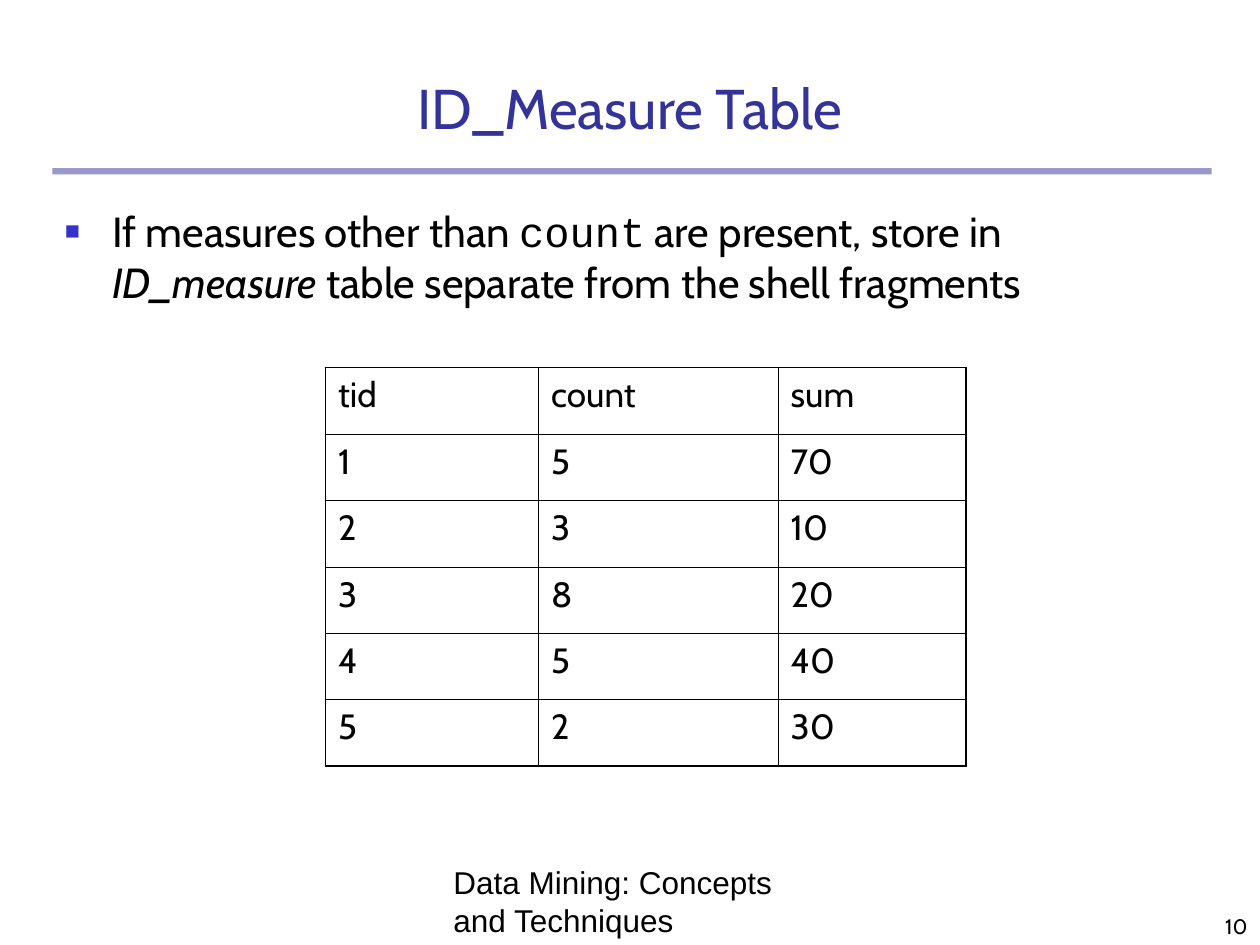
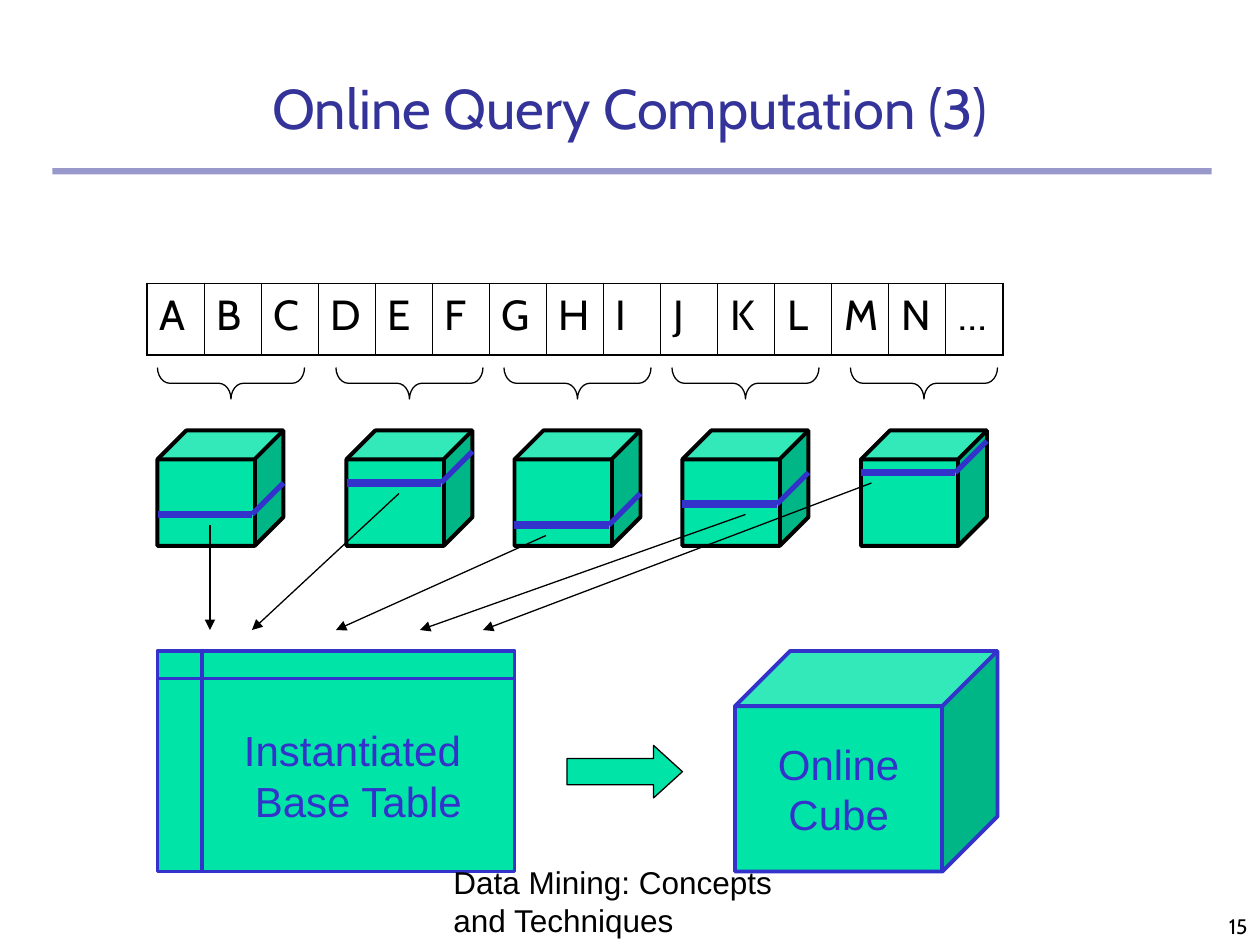
import dataclasses
import typing

import lxml.etree
import pptx
import pptx.dml.color
import pptx.enum.shapes
import pptx.enum.text
import pptx.oxml.ns
import pptx.util

PX = pptx.util.Inches(1) // 120
KIND = pptx.enum.shapes.MSO_SHAPE
ALIGN = pptx.enum.text.PP_ALIGN
ANCHOR = pptx.enum.text.MSO_ANCHOR


@dataclasses.dataclass(frozen=True)
class Theme:
    navy: str = "333399"
    blue: str = "3333CC"
    green: str = "00E4A8"
    black: str = "000000"
    sans: str = "Cabin"
    plain: str = "Arial"
    code: str = "Courier New"
    head: int = 32
    large: int = 24
    cell: int = 20
    foot: int = 18
    page: int = 12
    thin: float = 0.75
    edge: float = 2.25
    inner: float = 0.45
    outer: float = 1.08


class Box(typing.NamedTuple):
    x: int
    y: int
    w: int
    h: int


class Style(typing.NamedTuple):
    size: int
    font: str
    color: str
    align: typing.Any = ALIGN.LEFT
    anchor: typing.Any = ANCHOR.TOP


class Piece(typing.NamedTuple):
    text: str
    form: dict = {}


class Cube(typing.NamedTuple):
    x: int
    brace: int
    band: int
    start: tuple
    end: int


LOOK = Theme()
TITLE = Style(LOOK.head, LOOK.sans, LOOK.navy, ALIGN.CENTER, ANCHOR.BOTTOM)
BODY = Style(LOOK.large, LOOK.sans, LOOK.black)
GRID = Style(LOOK.cell, LOOK.sans, LOOK.black)
LABEL = Style(LOOK.large, LOOK.plain, LOOK.blue, ALIGN.CENTER, ANCHOR.MIDDLE)
FOOT = Style(LOOK.foot, LOOK.plain, LOOK.black, anchor=ANCHOR.BOTTOM)
PAGE = Style(LOOK.page, LOOK.sans, LOOK.black, ALIGN.RIGHT, ANCHOR.BOTTOM)

CUBES = [
    Cube(150, 150, 490, (200, 500), 200),
    Cube(330, 320, 460, (380, 470), 240),
    Cube(490, 480, 500, (520, 510), 320),
    Cube(650, 640, 480, (710, 490), 400),
    Cube(820, 810, 450, (830, 460), 460),
]


def scale(vals: typing.Iterable[float]) -> list[int]:
    return [int(val * PX) for val in vals]


def tint(color: str) -> pptx.dml.color.RGBColor:
    return pptx.dml.color.RGBColor.from_string(color)


def put(item: typing.Any, form: dict) -> None:
    for key, val in form.items():
        setattr(item, key, val)


def add(node: typing.Any, tag: str, **attrs: str) -> typing.Any:
    return lxml.etree.SubElement(node, pptx.oxml.ns.qn(tag), attrs)


def write(frame: typing.Any, lines: list[list[Piece]], style: Style) -> None:
    for row, line in enumerate(lines):
        para = frame.add_paragraph() if row else frame.paragraphs[0]
        para.alignment = style.align
        for piece in line:
            run = para.add_run()
            run.text = piece.text
            put(run.font, {"size": pptx.util.Pt(style.size), "name": style.font, **piece.form})
            run.font.color.rgb = tint(style.color)


def text(slide: typing.Any, box: Box, line: list[Piece], style: Style) -> typing.Any:
    frame = slide.shapes.add_textbox(*scale(box)).text_frame
    put(frame, {"word_wrap": True, "vertical_anchor": style.anchor})
    write(frame, [line], style)
    return frame


def shape(slide: typing.Any, kind: typing.Any, box: Box, fill: str = "",
          line: str = "", width: float = LOOK.thin, adjust: tuple = ()) -> typing.Any:
    item = slide.shapes.add_shape(kind, *scale(box))
    item.shadow.inherit = False
    for part, color in ((item.fill, fill), (item.line.fill, line)):
        if color:
            part.solid()
            part.fore_color.rgb = tint(color)
        else:
            part.background()
    if line:
        item.line.width = pptx.util.Pt(width)
    for spot, val in enumerate(adjust):
        item.adjustments[spot] = val
    return item


def label(item: typing.Any, lines: list[str]) -> None:
    put(item.text_frame, {"word_wrap": False, "vertical_anchor": LABEL.anchor})
    write(item.text_frame, [[Piece(line)] for line in lines], LABEL)


def link(slide: typing.Any, start: tuple, end: tuple, color: str,
         width: float, arrow: bool = False) -> None:
    kind = pptx.enum.shapes.MSO_CONNECTOR.STRAIGHT
    item = slide.shapes.add_connector(kind, *scale((*start, *end)))
    item.line.color.rgb = tint(color)
    item.line.width = pptx.util.Pt(width)
    props = item.element.spPr
    if arrow:
        add(props.find(pptx.oxml.ns.qn("a:ln")), "a:tailEnd", type="triangle")
    add(props, "a:effectLst")


def edge(cell: typing.Any, sides: dict[str, bool]) -> None:
    props = cell._tc.get_or_add_tcPr()
    for side, rim in sides.items():
        width = pptx.util.Pt(LOOK.outer if rim else LOOK.inner)
        line = add(props, f"a:ln{side}", w=str(width))
        add(add(line, "a:solidFill"), "a:srgbClr", val=LOOK.black)


def table(slide: typing.Any, box: Box, rows: list, widths: list[float], style: Style) -> None:
    high, wide = len(rows), len(widths)
    grid = slide.shapes.add_table(high, wide, *scale(box)).table
    put(grid, {"first_row": False, "horz_banding": False})
    for col, width in zip(grid.columns, scale(widths)):
        col.width = width
    for r, row in enumerate(rows):
        grid.rows[r].height = box.h * PX // high
        for c, word in enumerate(row):
            cell = grid.cell(r, c)
            write(cell.text_frame, [[Piece(word)]], style)
            edge(cell, {"L": c == 0, "R": c == wide - 1, "T": r == 0, "B": r == high - 1})
            cell.fill.background()


def start(deck: typing.Any, title: str) -> typing.Any:
    slide = deck.slides.add_slide(deck.slide_layouts[6])
    rule = shape(slide, KIND.RECTANGLE, Box(50, 160, 1104, 6), LOOK.navy)
    shade = next(rule.element.spPr.iter(pptx.oxml.ns.qn("a:srgbClr")))
    add(shade, "a:alpha", val="50000")
    text(slide, Box(50, 50, 1100, 90), [Piece(title)], TITLE)
    return slide


def close(slide: typing.Any, page: int) -> None:
    text(slide, Box(420, 830, 380, 70), [Piece("Data Mining: Concepts and Techniques")], FOOT)
    text(slide, Box(950, 840, 250, 60), [Piece(str(page))], PAGE)


def measure(deck: typing.Any) -> None:
    slide = start(deck, "ID_Measure Table")
    frame = text(slide, Box(50, 190, 1100, 660), [
        Piece("If measures other than "),
        Piece("count", {"name": LOOK.code}),
        Piece(" are present, store in "),
        Piece("ID_measure", {"italic": True}),
        Piece(" table separate from the shell fragments"),
    ], BODY)
    props = frame.paragraphs[0]._p.get_or_add_pPr()
    for key, val in {"marL": 45, "indent": -45}.items():
        props.set(key, str(val * PX))
    add(add(props, "a:buClr"), "a:srgbClr", val=LOOK.blue)
    add(props, "a:buSzPct", val="60000")
    add(props, "a:buFont", typeface=LOOK.plain)
    add(props, "a:buChar", char="■")
    rows = ["tid count sum", "1 5 70", "2 3 10", "3 8 20", "4 5 40", "5 2 30"]
    table(slide, Box(310, 350, 610, 380), [row.split() for row in rows], [203, 228, 179], GRID)
    close(slide, 10)


def query(deck: typing.Any) -> None:
    slide = start(deck, "Online Query Computation (3)")
    names = "ABCDEFGHIJKLMN…"
    strip = Box(140, 270, 815, 68)
    table(slide, strip, [names], [strip.w / len(names)] * len(names), BODY)
    for cube in CUBES:
        brace = shape(slide, KIND.LEFT_BRACE, Box(cube.brace + 55, 295, 30, 140),
                      line=LOOK.black, adjust=(0.39, 0.5))
        brace.rotation = 270
        shape(slide, KIND.CUBE, Box(cube.x, 410, 120, 110), LOOK.green,
              LOOK.black, LOOK.edge, (0.25,))
        bend = (cube.x + 90, cube.band)
        link(slide, (cube.x, cube.band), bend, LOOK.blue, 4.5)
        link(slide, bend, (cube.x + 120, cube.band - 30), LOOK.blue, 3)
    whole = shape(slide, KIND.CUBE, Box(700, 620, 250, 210), LOOK.green,
                  LOOK.blue, LOOK.edge, (0.25,))
    label(whole, ["Online", "Cube"])
    shape(slide, KIND.RIGHT_ARROW, Box(540, 710, 110, 50), LOOK.green,
          LOOK.black, adjust=(0.5, 0.55))
    base = shape(slide, KIND.FLOWCHART_INTERNAL_STORAGE, Box(150, 620, 340, 210),
                 LOOK.green, LOOK.blue, LOOK.edge)
    label(base, ["Instantiated ", "Base Table"])
    for cube in CUBES:
        link(slide, cube.start, (cube.end, 600), LOOK.black, LOOK.thin, True)
    close(slide, 15)


def main() -> None:
    deck = pptx.Presentation()
    put(deck, {"slide_width": 1200 * PX, "slide_height": 900 * PX})
    measure(deck)
    query(deck)
    deck.save("out.pptx")


if __name__ == "__main__":
    main()
